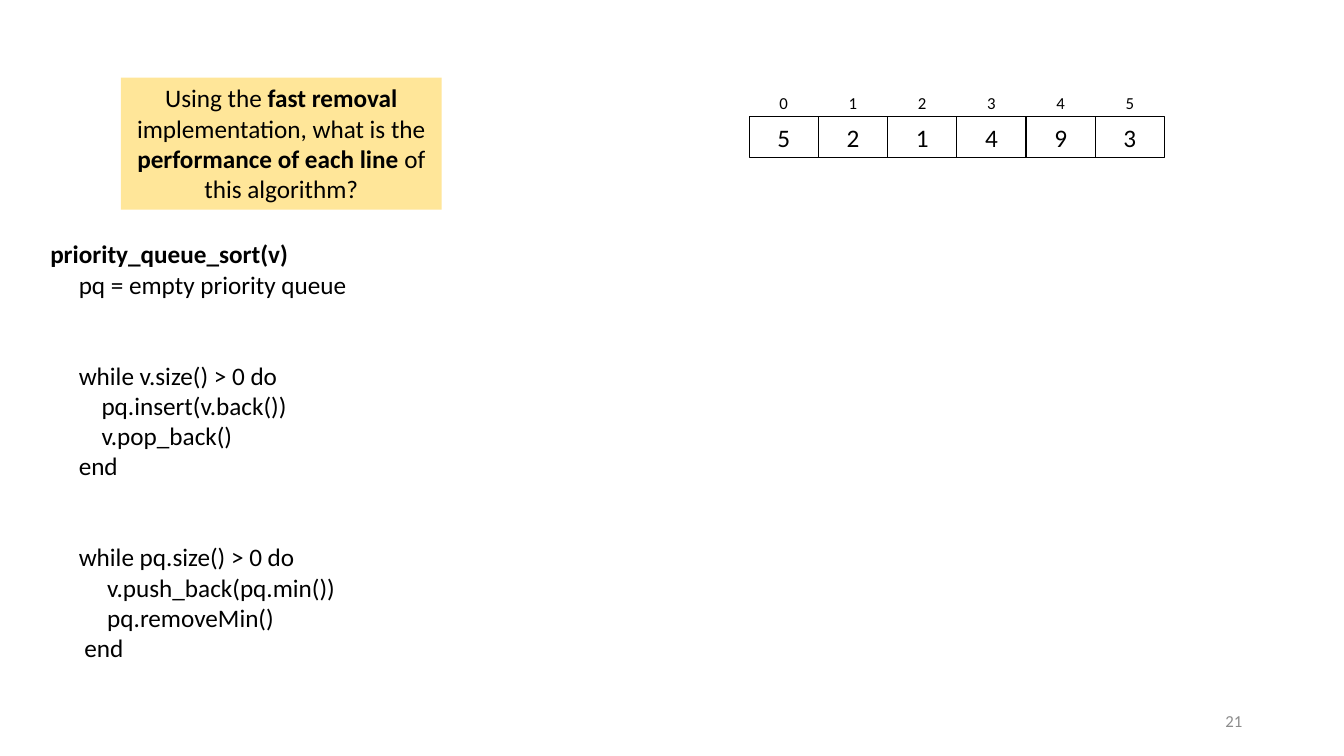
from pptx import Presentation
from pptx import util as u
from pptx.dml.color import RGBColor
from pptx.enum import shapes, text

BLACK = RGBColor(0x00, 0x00, 0x00)
GREY = RGBColor(0x8C, 0x8C, 0x8C)
CREAM = RGBColor(0xFF, 0xE6, 0x99)

CENTER = text.PP_ALIGN.CENTER
SPACE = 0.0565 
BLANK_LINE = 21.7

VALUES = [5, 2, 1, 4, 9, 3]
QUESTION = [
    ("Using the ", False),
    ("fast removal ", True),
    ("implementation, what is the ", False),
    ("performance of each line", True),
    (" of this algorithm?", False),
]
CODE = [
    ("priority_queue_sort(v)", 0, 0),
    ("pq = empty priority queue", 5, 0),
    ("while v.size() > 0 do", 5, 2),
    ("pq.insert(v.back())", 9, 0),
    ("v.pop_back()", 9, 0),
    ("end", 5, 0),
    ("while pq.size() > 0 do", 5, 2),
    ("v.push_back(pq.min())", 10, 0),
    ("pq.removeMin()", 10, 0),
    ("end", 6, 0),
]


def inches(*lengths):
    return [u.Inches(length) for length in lengths]


def add_run(p, words, size=18, color=BLACK, bold=False):
    r = p.add_run()
    r.text = words
    r.font.color.rgb = color
    for name, value in {"name": "Calibri", "size": u.Pt(size), "bold": bold}.items():
        setattr(r.font, name, value)


def format_frame(sp, anchor=text.MSO_ANCHOR.TOP):
    tf = sp.text_frame
    for name, value in {"word_wrap": True, "vertical_anchor": anchor}.items():
        setattr(tf, name, value)
    return tf


def add_text(s, box, anchor=text.MSO_ANCHOR.TOP):
    return format_frame(s.shapes.add_textbox(*inches(*box)), anchor)


def add_rect(s, box, fill=None, line=None):
    sp = s.shapes.add_shape(shapes.MSO_SHAPE.RECTANGLE, *inches(*box))
    sp.shadow.inherit = False
    if fill is None:
        sp.fill.background()
    else:
        sp.fill.solid()
        sp.fill.fore_color.rgb = fill
    if line is None:
        sp.line.fill.background()
    else:
        sp.line.color.rgb = line
        sp.line.width = u.Pt(0.75)
    return format_frame(sp)


def add_question(s, box):
    p = add_rect(s, box, fill=CREAM).paragraphs[0]
    p.alignment = CENTER
    for words, bold in QUESTION:
        add_run(p, words, bold=bold)


def add_array(s, left, top, width, label_height, cell_height):
    cell = width / len(VALUES)
    for index, value in enumerate(VALUES):
        x = left + index * cell
        value_tf = add_rect(s, (x, top + label_height - 0.01, cell, cell_height), line=BLACK)
        label_tf = add_text(s, (x, top, cell, label_height))
        for tf, words, size in ((value_tf, value, 18), (label_tf, index, 12)):
            p = tf.paragraphs[0]
            p.alignment = CENTER
            add_run(p, str(words), size)


def add_code(s, box):
    tf = add_text(s, box)
    for number, (line, spaces, blank_lines) in enumerate(CODE):
        p = tf.add_paragraph() if number else tf.paragraphs[0]
        p.space_before = u.Pt(blank_lines * BLANK_LINE)
        p._p.get_or_add_pPr().set("marL", str(u.Inches(spaces * SPACE)))
        add_run(p, line, bold=number == 0)


def add_page_number(s, box):
    p = add_text(s, box, text.MSO_ANCHOR.MIDDLE).paragraphs[0]
    p.alignment = text.PP_ALIGN.RIGHT
    add_run(p, "21", 12, GREY)


def main():
    prs = Presentation()
    prs.slide_width, prs.slide_height = inches(13.33, 7.5)
    s = prs.slides.add_slide(prs.slide_layouts[6])
    add_page_number(s, (9.42, 6.95, 3, 0.4))
    add_array(s, 7.43, 0.87, 4.12, 0.3, 0.4)
    add_code(s, (0.4, 2.32, 3.35, 4.34))
    add_question(s, (1.2, 0.77, 3.18, 1.31))
    prs.save("out.pptx")


if __name__ == "__main__":
    main()
